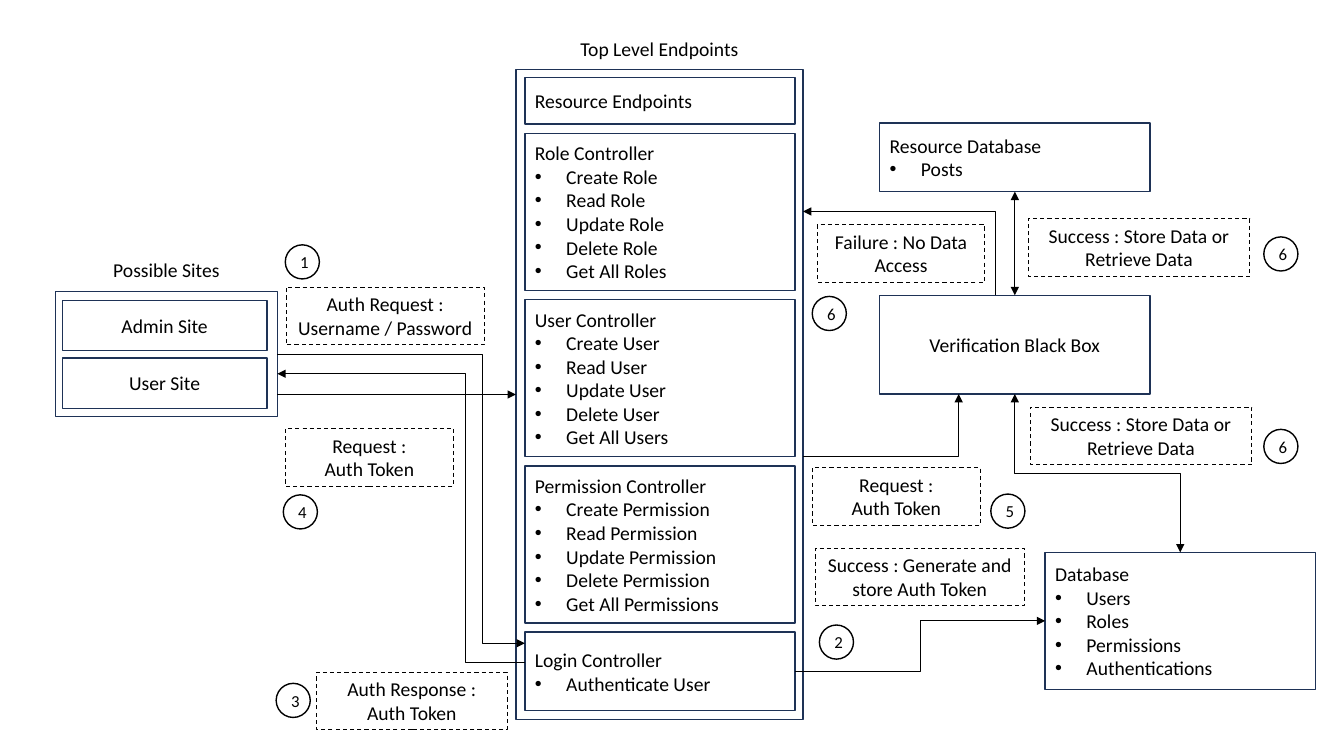
from lxml.etree import SubElement
from pptx import Presentation
from pptx.dml.color import RGBColor
from pptx.enum.dml import MSO_LINE
from pptx.enum.shapes import MSO_CONNECTOR, MSO_SHAPE
from pptx.enum.text import MSO_ANCHOR, MSO_AUTO_SIZE, PP_ALIGN
from pptx.oxml.ns import qn
from pptx.util import Cm, Pt

# Content: lengths in cm, places as left, top, width, height
NAVY, BLACK = "1E3256", "000000"
FONT = "Calibri"
WIDE = 6.81
GAP = 0.23
INDENT = 0.79

HEAD = "Top Level Endpoints"
FRAME = (13.0, 1.75, 7.24, 16.38)
STACK_LEFT, STACK_TOP = 13.23, 1.96
STACK = [
    (1.17, ["Resource Endpoints"]),
    (3.96, ["Role Controller", "Create Role", "Read Role", "Update Role",
            "Delete Role", "Get All Roles"]),
    (3.96, ["User Controller", "Create User", "Read User", "Update User",
            "Delete User", "Get All Users"]),
    (3.96, ["Permission Controller", "Create Permission", "Read Permission",
            "Update Permission", "Delete Permission", "Get All Permissions"]),
    (1.98, ["Login Controller", "Authenticate User"]),
]

SITE_HEAD = "Possible Sites"
SITE_FRAME = (1.4, 7.34, 5.59, 3.15)
SITES = ["Admin Site", "User Site"]
SITE_TOP, SITE_STEP = 7.57, 1.45

STORE = (22.17, 3.1, WIDE, 1.73)
CHECK = (22.17, 7.44, WIDE, 2.49)
BASE = (26.34, 13.92, WIDE, 3.45)
STORE_TEXT = ["Resource Database", "Posts"]
CHECK_TEXT = ["Verification Black Box"]
BASE_TEXT = ["Database", "Users", "Roles", "Permissions", "Authentications"]

NOTE_HIGH = 1.45
SAVE = ["Success : Store Data or", "Retrieve Data"]
ASK = ["Request :", "Auth Token"]
NOTES = [  # left, top, width, lines
    (7.21, 7.24, 5.0, ["Auth Request :", "Username / Password"]),
    (20.55, 13.82, 5.26, ["Success : Generate and store Auth Token"]),
    (7.98, 16.94, 4.8, ["Auth Response : Auth Token"]),
    (7.19, 10.8, 4.24, ASK),
    (20.47, 11.79, 4.24, ASK),
    (25.91, 5.51, 5.59, SAVE),
    (25.96, 10.26, 5.59, SAVE),
    (20.6, 5.66, 4.22, ["Failure : No Data Access"]),
]

DISC = 0.86
STEPS = [  # number, left, top
    ("1", 7.19, 6.17), ("2", 20.65, 15.75), ("3", 6.96, 17.22),
    ("4", 7.14, 12.47), ("5", 24.97, 12.45), ("6", 20.47, 7.47),
    ("6", 31.85, 5.97), ("6", 31.85, 10.82),
]

# Slide
deck = Presentation()
deck.slide_width, deck.slide_height = Cm(33.87), Cm(19.05)
slide = deck.slides.add_slide(deck.slide_layouts[5])
shapes = slide.shapes


def color(code):
    return RGBColor.from_string(code)


def write(shape, lines, size=14, align=PP_ALIGN.LEFT, anchor=MSO_ANCHOR.MIDDLE,
          list_from=None):
    """Fill a shape with lines; those from list_from on get bullets."""
    frame = shape.text_frame
    frame.word_wrap = True
    frame.auto_size = MSO_AUTO_SIZE.NONE
    frame.vertical_anchor = anchor
    for i, line in enumerate(lines):
        para = frame.paragraphs[0] if i == 0 else frame.add_paragraph()
        para.alignment = align
        run = para.add_run()
        run.text = line
        run.font.name, run.font.size = FONT, Pt(size)
        run.font.color.rgb = color(BLACK)
        if list_from is not None and i >= list_from:
            props = para._p.get_or_add_pPr()
            props.set("marL", str(Cm(INDENT)))
            props.set("indent", str(-Cm(INDENT)))
            SubElement(props, qn("a:buFont")).set("typeface", "Arial")
            SubElement(props, qn("a:buChar")).set("char", "•")


def box(place, lines=(), kind=MSO_SHAPE.RECTANGLE, line=NAVY, width=1,
        dash=None, **fmt):
    shape = shapes.add_shape(kind, *map(Cm, place))
    shape.shadow.inherit = False
    shape.fill.background()
    shape.line.color.rgb = color(line)
    shape.line.width = Pt(width)
    if dash:
        shape.line.dash_style = dash
    write(shape, lines, **fmt)
    return shape


def wire(start, end, bend=None, both=False, down=False):
    """Arrow from start to end; bend is where an elbow turns (0 to 1)."""
    kind = MSO_CONNECTOR.STRAIGHT if bend is None else MSO_CONNECTOR.ELBOW
    link = shapes.add_connector(kind, *map(Cm, start + end))
    link.line.color.rgb = color(BLACK)
    link.line.width = Pt(0.75)
    props = link._element.spPr
    if bend is not None:
        guides = props.find(qn("a:prstGeom")).get_or_add_avLst()
        guide = SubElement(guides, qn("a:gd"))
        guide.set("name", "adj1")
        guide.set("fmla", f"val {round(bend * 100000)}")
    if down:  # leave downwards: turn the elbow about its centre
        wide, high = link.width, link.height
        link.left += (wide - high) // 2
        link.top += (high - wide) // 2
        link.width, link.height = high, wide
        props.xfrm.set("rot", "16200000")
        props.xfrm.set("flipH", "1")
    stroke = link.line._get_or_add_ln()
    for tag in ["a:headEnd", "a:tailEnd"] if both else ["a:tailEnd"]:
        SubElement(stroke, qn(tag)).set("type", "triangle")
    SubElement(props, qn("a:effectLst"))
    return link


def side(place, index):
    """Middle of a side: 0 top, 1 left, 2 bottom, 3 right."""
    left, top, wide, high = place
    across, along = [(0.5, 0), (0, 0.5), (0.5, 1), (1, 0.5)][index]
    return left + wide * across, top + high * along


# Headings
title = shapes.title
title.left, title.top, title.width, title.height = map(
    Cm, (FRAME[0], 0.81, FRAME[2], 0.86))
write(title, [HEAD], align=PP_ALIGN.CENTER, anchor=MSO_ANCHOR.TOP)
label = shapes.add_textbox(*map(Cm, (SITE_FRAME[0], 6.38, SITE_FRAME[2], 0.86)))
write(label, [SITE_HEAD], align=PP_ALIGN.CENTER, anchor=MSO_ANCHOR.TOP)

# Sites
box(SITE_FRAME)
for i, site in enumerate(SITES):
    box((1.57, SITE_TOP + i * SITE_STEP, 5.16, 1.27), [site],
        align=PP_ALIGN.CENTER)

# Endpoints, stacked with equal gaps
core = box(FRAME)
top = STACK_TOP
for high, lines in STACK:
    login = (STACK_LEFT, top, WIDE, high)
    box(login, lines, list_from=1)
    top += high + GAP

# Data stores and check
store = box(STORE, STORE_TEXT, list_from=1)
check = box(CHECK, CHECK_TEXT, align=PP_ALIGN.CENTER)
box(BASE, BASE_TEXT, list_from=1)

# Arrows
site_edge = SITE_FRAME[0] + SITE_FRAME[2]
core_edge = FRAME[0] + FRAME[2]
wire((site_edge, 8.94), (STACK_LEFT, 16.21), bend=0.83)
wire((STACK_LEFT, 16.69), (site_edge, 9.42), bend=0.24)
wire(side(login, 3), side(BASE, 1), bend=0.5)
wire((core_edge, 11.51), (24.16, CHECK[1] + CHECK[3]), bend=1)
wire((25.1, CHECK[1]), (core_edge, 5.33), bend=0)
wire(side(CHECK, 2), side(BASE, 0), bend=0.5, both=True, down=True)
entry = side(FRAME, 1)
wire((site_edge, entry[1]), entry).end_connect(core, 1)
link = wire(side(STORE, 2), side(CHECK, 0), both=True)
link.begin_connect(store, 2)
link.end_connect(check, 0)

# Notes and step numbers
for left, top, wide, lines in NOTES:
    box((left, top, wide, NOTE_HIGH), lines, line=BLACK, width=0.75,
        dash=MSO_LINE.DASH, align=PP_ALIGN.CENTER, anchor=MSO_ANCHOR.TOP)
for step, left, top in STEPS:
    box((left, top, DISC, DISC), [step], kind=MSO_SHAPE.OVAL, line=BLACK,
        size=12, align=PP_ALIGN.CENTER)

deck.save("out.pptx")
